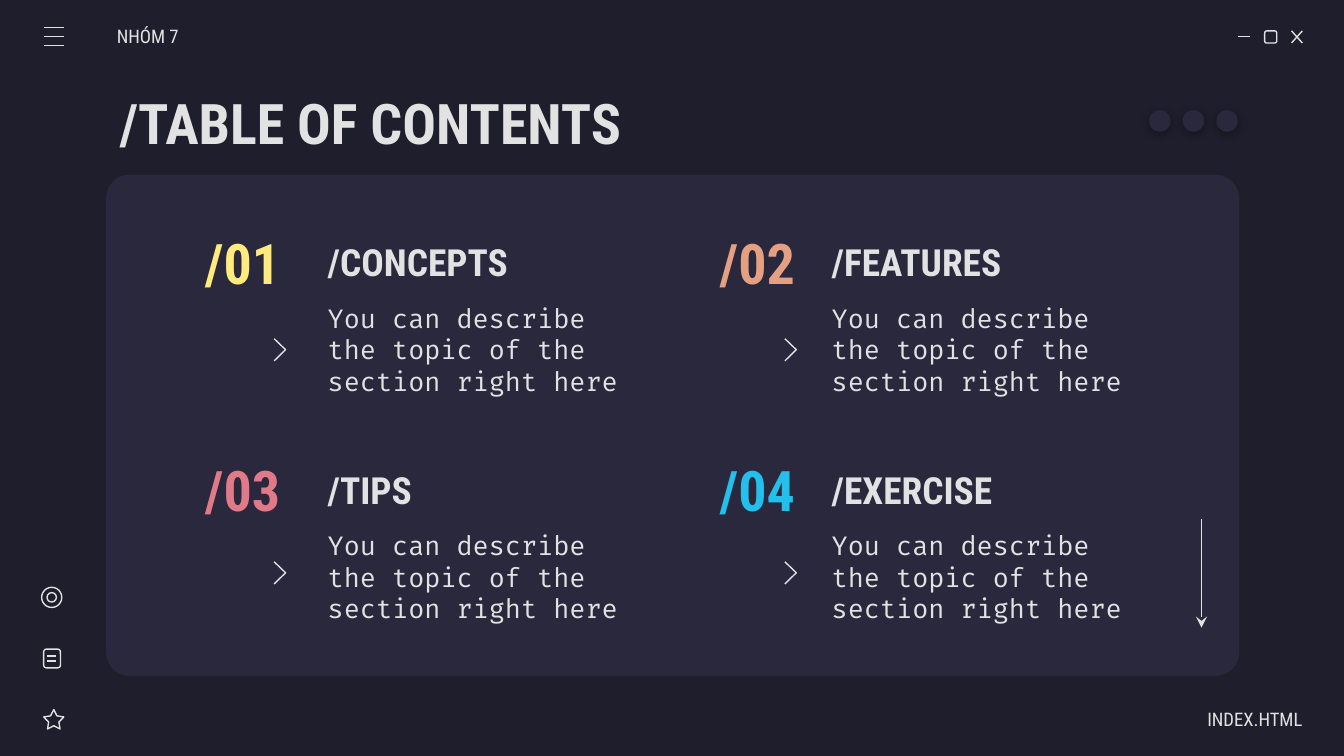
from dataclasses import dataclass

import pptx
import pptx.dml.color
import pptx.enum.shapes
import pptx.enum.text
import pptx.oxml
import pptx.oxml.ns
import pptx.util

SHAPE = pptx.enum.shapes.MSO_SHAPE
ALIGN = pptx.enum.text.PP_ALIGN
Pt = pptx.util.Pt

# The slide is a grid of square cells, 100 columns by 56.25 rows.
CELL = pptx.util.Inches(0.1)
COLUMNS, ROWS = 100, 56.25


@dataclass(frozen=True)
class Theme:
    background: str = "1E1E2C"
    panel: str = "29283D"
    ink: str = "E2E2E2"
    display: str = "Roboto Condensed"
    mono: str = "Fira Code"
    title: float = 30
    heading: float = 20
    body: float = 14
    label: float = 10
    stroke: float = 0.75


@dataclass(frozen=True)
class Box:
    left: float
    top: float
    width: float
    height: float

    def lengths(self) -> list[int]:
        return [grid(n) for n in (self.left, self.top, self.width, self.height)]


@dataclass(frozen=True)
class Section:
    number: str
    heading: str
    color: str
    number_left: float
    heading_left: float
    chevron_left: float
    top: float
    chevron_top: float


THEME = Theme()
DESCRIPTION = "You can describe the topic of the section right here"
LEFT_COLUMN = (13.5, 23.4, 20.4)
RIGHT_COLUMN = (51.8, 60.9, 58.4)
UPPER_ROW = (16.7, 25.2)
LOWER_ROW = (33.6, 41.8)
SECTIONS = (
    Section("/01", "/CONCEPTS", "FFEA7D", *LEFT_COLUMN, *UPPER_ROW),
    Section("/02", "/FEATURES", "E5A083", *RIGHT_COLUMN, *UPPER_ROW),
    Section("/03", "/TIPS", "E07A88", *LEFT_COLUMN, *LOWER_ROW),
    Section("/04", "/EXERCISE", "24BFEB", *RIGHT_COLUMN, *LOWER_ROW),
)


def grid(cells: float) -> int:
    return round(cells * CELL)


def rgb(color: str) -> pptx.dml.color.RGBColor:
    return pptx.dml.color.RGBColor.from_string(color)


def effects(owner):
    """Add an empty effect list, which removes the theme's shadow."""
    return pptx.oxml.ns and owner._element.spPr.makeelement(
        pptx.oxml.ns.qn("a:effectLst"), {})


def outline(line) -> None:
    line.color.rgb = rgb(THEME.ink)
    line.width = Pt(THEME.stroke)


def write(slide, text: str, box: Box, *, size: float, font: str = THEME.display,
          color: str = THEME.ink, bold: bool = False, align=ALIGN.LEFT,
          left_inset: float = 1, right_inset: float = 1, holder=None):
    """Put text in a new text box, or in the given placeholder."""
    holder = holder or slide.shapes.add_textbox(*box.lengths())
    holder.left, holder.top, holder.width, holder.height = box.lengths()
    frame = holder.text_frame
    frame.word_wrap = True
    frame.auto_size = pptx.enum.text.MSO_AUTO_SIZE.NONE
    frame.vertical_anchor = pptx.enum.text.MSO_ANCHOR.MIDDLE
    frame.margin_left, frame.margin_right = grid(left_inset), grid(right_inset)
    frame.margin_top = frame.margin_bottom = grid(1)
    paragraph = frame.paragraphs[0]
    paragraph.alignment = align
    run = paragraph.add_run()
    run.text = text
    run.font.name, run.font.size, run.font.bold = font, Pt(size), bold
    run.font.color.rgb = rgb(color)
    return holder


def draw_shape(slide, kind, box: Box, fill: str | None = None):
    """Draw a filled shape without a line, or an outlined one without a fill."""
    shape = slide.shapes.add_shape(kind, *box.lengths())
    shape.shadow.inherit = False
    if fill:
        shape.fill.solid()
        shape.fill.fore_color.rgb = rgb(fill)
        shape.line.fill.background()
    else:
        shape.fill.background()
        outline(shape.line)
    return shape


def draw_line(slide, x1: float, y1: float, x2: float, y2: float,
              arrow: bool = False) -> None:
    line = slide.shapes.add_connector(
        pptx.enum.shapes.MSO_CONNECTOR.STRAIGHT, *map(grid, (x1, y1, x2, y2)))
    outline(line.line)
    line._element.spPr.append(effects(line))
    if arrow:
        tail = line.line._get_or_add_ln().makeelement(
            pptx.oxml.ns.qn("a:tailEnd"), {"type": "stealth"})
        line.line._get_or_add_ln().append(tail)


def draw_chevron(slide, left: float, top: float) -> None:
    builder = slide.shapes.build_freeform(grid(left), grid(top))
    builder.add_line_segments(
        [(grid(left + 0.85), grid(top + 0.82)), (grid(left), grid(top + 1.65))],
        close=False)
    chevron = builder.convert_to_shape()
    chevron.shadow.inherit = False
    chevron.fill.background()
    outline(chevron.line)


def draw_dot(slide, left: float) -> None:
    dot = draw_shape(slide, SHAPE.OVAL, Box(left, 8.2, 1.6, 1.6), THEME.panel)
    effect_list = dot._element.spPr.find(pptx.oxml.ns.qn("a:effectLst"))
    effect_list.append(pptx.oxml.parse_xml(
        f'<a:outerShdw {pptx.oxml.ns.nsdecls("a")} blurRad="{Pt(4.5)}" '
        f'dist="{Pt(1.5)}" dir="5400000" algn="bl" rotWithShape="0">'
        '<a:srgbClr val="000000"><a:alpha val="30000"/></a:srgbClr></a:outerShdw>'))


def draw_section(slide, section: Section) -> None:
    write(slide, section.heading, Box(section.heading_left, section.top, 25.6, 5.6),
          size=THEME.heading, bold=True)
    write(slide, section.number, Box(section.number_left, section.top, 9.1, 5.6),
          size=THEME.title, bold=True, color=section.color, align=ALIGN.CENTER)
    write(slide, DESCRIPTION,
          Box(section.heading_left, section.top + 5.55, 25.6, 7.5),
          size=THEME.body, font=THEME.mono)
    draw_chevron(slide, section.chevron_left, section.chevron_top)


def draw_window_buttons(slide) -> None:
    draw_line(slide, 92.1, 2.7, 93, 2.7)
    draw_shape(slide, SHAPE.ROUNDED_RECTANGLE, Box(94.1, 2.3, 0.9, 0.9))
    draw_line(slide, 96.1, 2.3, 96.9, 3.2)
    draw_line(slide, 96.9, 2.3, 96.1, 3.2)


def draw_side_icons(slide) -> None:
    for y in (2.05, 2.72, 3.39):
        draw_line(slide, 3.25, y, 4.75, y)
    draw_shape(slide, SHAPE.OVAL, Box(3.1, 43.7, 1.5, 1.5))
    draw_shape(slide, SHAPE.OVAL, Box(3.5, 44.1, 0.7, 0.7))
    draw_shape(slide, SHAPE.ROUNDED_RECTANGLE, Box(3.25, 48.3, 1.25, 1.4))
    for y in (48.8, 49.2):
        draw_line(slide, 3.5, y, 4.2, y)
    star = draw_shape(slide, SHAPE.STAR_5_POINT, Box(3.25, 52.8, 1.5, 1.45))
    star.adjustments[0] = 0.254


def main() -> None:
    deck = pptx.Presentation()
    deck.slide_width, deck.slide_height = grid(COLUMNS), grid(ROWS)
    slide = deck.slides.add_slide(deck.slide_layouts[5])
    slide.background.fill.solid()
    slide.background.fill.fore_color.rgb = rgb(THEME.background)

    write(slide, "/TABLE OF CONTENTS", Box(7.9, 5.9, 84.3, 6.3), size=THEME.title,
          bold=True, holder=slide.shapes.title)
    panel = draw_shape(slide, SHAPE.ROUNDED_RECTANGLE, Box(7.9, 13, 84.3, 37.3),
                       THEME.panel)
    panel.adjustments[0] = 0.047
    for section in SECTIONS:
        draw_section(slide, section)

    write(slide, "NHÓM 7", Box(8.7, 1.2, 11.7, 3), size=THEME.label, left_inset=0)
    write(slide, "INDEX.HTML", Box(85.2, 52, 11.7, 3), size=THEME.label,
          align=ALIGN.RIGHT, right_inset=0)
    draw_window_buttons(slide)
    draw_side_icons(slide)
    draw_line(slide, 89.4, 38.6, 89.4, 46.7, arrow=True)
    for index in range(3):
        draw_dot(slide, 85.5 + 2.5 * index)
    deck.save("out.pptx")


if __name__ == "__main__":
    main()
